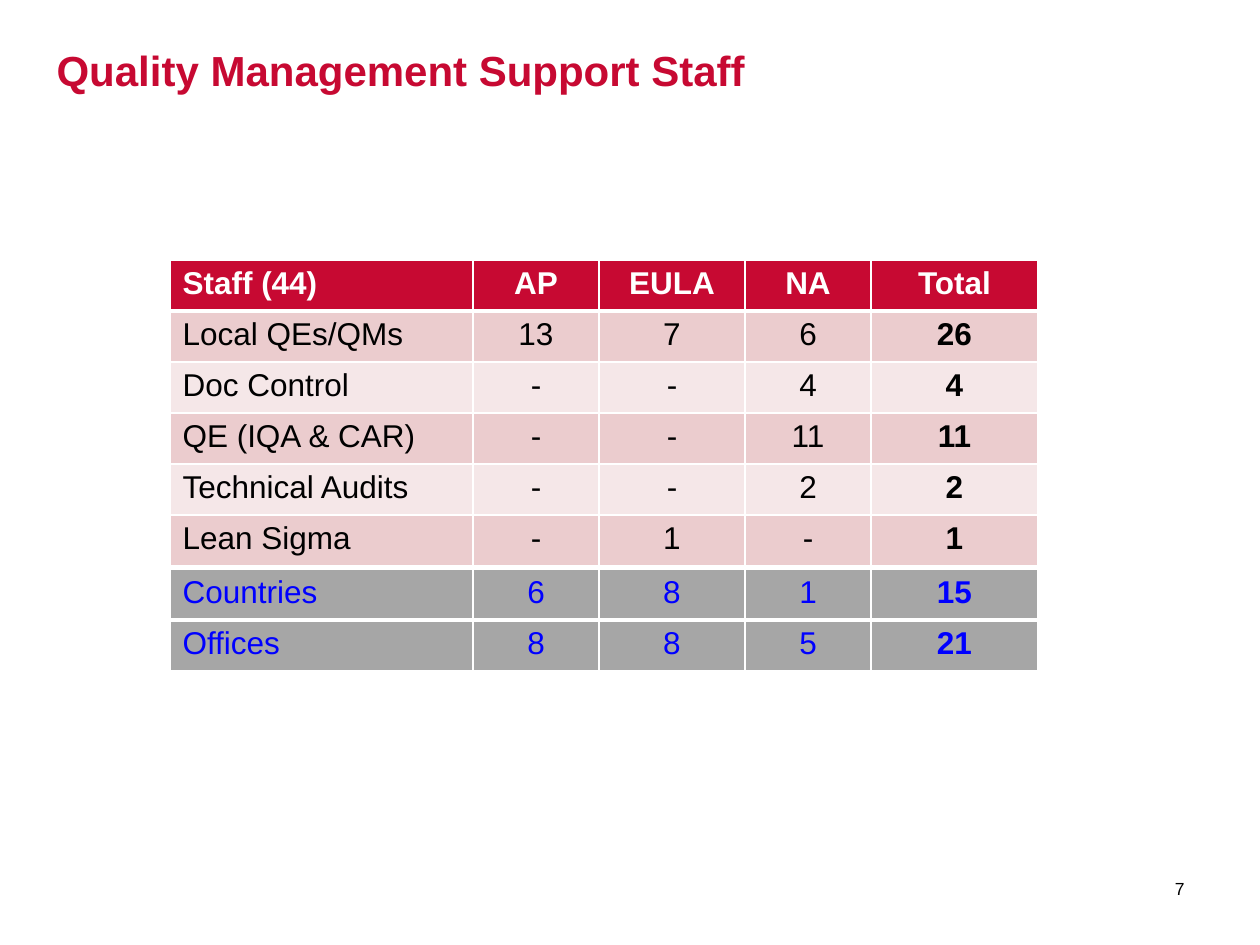
from typing import NamedTuple

from lxml.etree import SubElement
from pptx import Presentation
from pptx.dml.color import RGBColor
from pptx.enum.text import MSO_ANCHOR, PP_ALIGN
from pptx.oxml.ns import qn
from pptx.util import Emu, Pt

RED, WHITE, BLACK, BLUE = "C70932", "FFFFFF", "000000", "0000FF"
ROSE, PALE, GREY = "EBCCCE", "F5E7E8", "A6A6A6"
COLS = (303, 126, 146, 126, 167)
ROW = 51
LEFT = 170


class Row(NamedTuple):
    cells: tuple[str, ...]
    fill: str
    ink: str = BLACK
    head: bool = False
    top: int = 1
    base: int = 1


STAFF = [
    Row(("Staff (44)", "AP", "EULA", "NA", "Total"), RED, WHITE, head=True, base=3),
    Row(("Local QEs/QMs", "13", "7", "6", "26"), ROSE, top=3),
    Row(("Doc Control", "-", "-", "4", "4"), PALE),
    Row(("QE (IQA & CAR)", "-", "-", "11", "11"), ROSE),
    Row(("Technical Audits", "-", "-", "2", "2"), PALE),
    Row(("Lean Sigma", "-", "1", "-", "1"), ROSE),
]
SITES = [
    Row(("Countries", "6", "8", "1", "15"), GREY, BLUE, base=3),
    Row(("Offices", "8", "8", "5", "21"), GREY, BLUE, top=3),
]


def px(n: int) -> Emu:
    return Emu(round(n * 914400 / 126))


def tint(code: str) -> RGBColor:
    return RGBColor.from_string(code)


def write(frame, text: str, *, size: int, ink: str = BLACK, bold: bool = False,
          align=PP_ALIGN.LEFT, anchor=MSO_ANCHOR.TOP) -> None:
    frame.word_wrap = True
    frame.vertical_anchor = anchor
    para = frame.paragraphs[0]
    para.alignment = align
    run = para.add_run()
    run.text = text
    font = run.font
    font.name, font.size, font.bold = "Arial", Pt(size), bold
    font.color.rgb = tint(ink)


def edge(cell, top: int, base: int) -> None:
    """Draw white borders; the widths of top and base are in points."""
    props = cell._tc.get_or_add_tcPr()
    sides = (("lnL", 1), ("lnR", 1), ("lnT", top), ("lnB", base))
    for spot, (tag, width) in enumerate(sides):
        line = SubElement(props, qn(f"a:{tag}"), w=str(Pt(width)))
        fill = SubElement(line, qn("a:solidFill"))
        SubElement(fill, qn("a:srgbClr"), val=WHITE)
        props.insert(spot, line)  # borders come before the fill


def grid(slide, rows: list[Row], top: int) -> None:
    frame = slide.shapes.add_table(len(rows), len(COLS), px(LEFT), px(top),
                                   px(sum(COLS)), px(ROW * len(rows)))
    table = frame.table
    table.first_row = rows[0].head
    table.horz_banding = False
    for col, width in zip(table.columns, COLS):
        col.width = px(width)
    for r, row in enumerate(rows):
        table.rows[r].height = px(ROW)
        for c, text in enumerate(row.cells):
            cell = table.cell(r, c)
            cell.fill.solid()
            cell.fill.fore_color.rgb = tint(row.fill)
            edge(cell, row.top, row.base)
            write(cell.text_frame, text, size=18, ink=row.ink,
                  bold=row.head or c == len(COLS) - 1,
                  align=PP_ALIGN.CENTER if c else PP_ALIGN.LEFT)


def main() -> None:
    deck = Presentation()
    deck.slide_width, deck.slide_height = px(1260), px(945)
    slide = deck.slides.add_slide(deck.slide_layouts[5])

    # Title
    title = slide.shapes.title
    title.left, title.top, title.width, title.height = map(px, (44, 38, 1202, 84))
    write(title.text_frame, "Quality Management Support Staff",
          size=24, ink=RED, bold=True)

    # Staff by region, then countries and offices
    grid(slide, STAFF, 260)
    grid(slide, SITES, 569)

    # Page number
    page = slide.shapes.add_textbox(*map(px, (1109, 864, 88, 50)))
    write(page.text_frame, "7", size=10, align=PP_ALIGN.RIGHT,
          anchor=MSO_ANCHOR.MIDDLE)

    deck.save("out.pptx")


if __name__ == "__main__":
    main()
